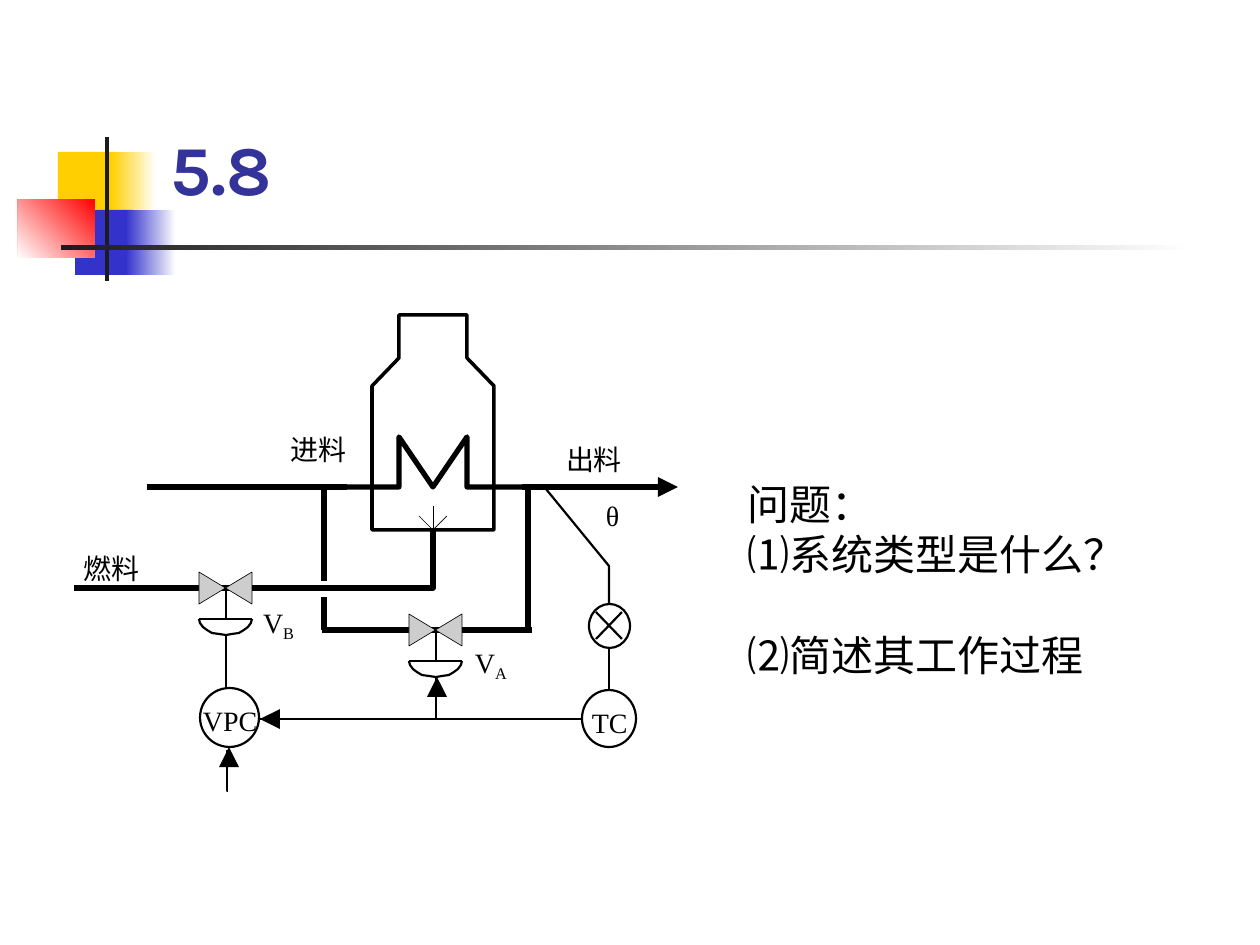
from math import cos, pi, sin
from lxml.etree import SubElement
from pptx import Presentation
from pptx.dml.color import RGBColor
from pptx.enum.shapes import MSO_CONNECTOR, MSO_SHAPE
from pptx.enum.text import MSO_ANCHOR, MSO_AUTO_SIZE, PP_ALIGN
from pptx.oxml.ns import qn
from pptx.util import Pt

PX = 914400 / 126
COLORS = {"black": "000000", "white": "FFFFFF", "gray": "CDCDCD", "title": "333399",
          "yellow": "FFCF01", "blue": "3333CC", "red": "FF0000", "dark": "1C1C1C"}
RGB = {name: RGBColor.from_string(value) for name, value in COLORS.items()}
CJK = "Noto Sans CJK SC"
SERIF = "Times New Roman"
THICK, OUTLINE, THIN, HAIR = 3, 2, 1.25, 0.37

prs = Presentation()
prs.slide_width = round(1260 * PX)
prs.slide_height = round(945 * PX)
s = prs.slides.add_slide(prs.slide_layouts[5])


def text(tf, lines, font=SERIF, size=16, color="black", bold=False, sub="", gap=0):
    for i, line in enumerate(lines):
        p = tf.paragraphs[0] if i == 0 else tf.add_paragraph()
        p.alignment = PP_ALIGN.LEFT
        p.space_before = Pt(gap if i and i == len(lines) - 1 else 0)
        for part, base in ((line, None), (sub, "-20000")):
            if part:
                r = p.add_run()
                r.text = part
                r.font.name, r.font.size, r.font.bold = font, Pt(size), bold
                r.font.color.rgb = RGB[color]
                rPr = r.font._element
                SubElement(rPr, qn("a:ea")).set("typeface", CJK)
                if base:
                    rPr.set("baseline", base)


def draw(points, width=THIN, fill=None, closed=False):
    if len(points) == 2:
        (x1, y1), (x2, y2) = points
        sp = s.shapes.add_connector(MSO_CONNECTOR.STRAIGHT, *(round(v * PX) for v in (x1, y1, x2, y2)))
    else:
        path = s.shapes.build_freeform(*points[0], scale=PX)
        path.add_line_segments(points[1:], close=closed)
        sp = path.convert_to_shape()
        sp.shadow.inherit = False
        if fill:
            sp.fill.solid()
            sp.fill.fore_color.rgb = RGB[fill]
        else:
            sp.fill.background()
    if width:
        sp.line.color.rgb = RGB["black"]
        sp.line.width = Pt(width)
    else:
        sp.line.fill.background()
    if len(points) == 2:
        SubElement(sp._element.spPr, qn("a:effectLst"))


for x, y, w, h, start, end, angle in (
        (58, 152, 60, 65, "yellow", None, 0),
        (111, 152, 45, 65, "white", "yellow", 180),
        (75, 210, 58, 65, "blue", None, 0),
        (126, 210, 50, 65, "white", "blue", 180),
        (18, 199, 77, 59, "red", "white", 225),
        (105, 137, 4, 144, "dark", None, 0),
        (61, 245, 1134, 5, "white", "dark", 180)):
    sp = s.shapes.add_shape(MSO_SHAPE.RECTANGLE, *(round(v * PX) for v in (x, y, w, h)))
    sp.shadow.inherit = False
    sp.line.fill.background()
    if end:
        sp.fill.gradient()
        sp.fill.gradient_angle = angle
        for stop, color, position in zip(sp.fill.gradient_stops, (start, end), (0, 1)):
            stop.color.rgb = RGB[color]
            stop.position = position
    else:
        sp.fill.solid()
        sp.fill.fore_color.rgb = RGB[start]

title = s.shapes.title
title.left, title.top, title.width, title.height = (round(v * PX) for v in (158, 85, 1074, 131))
title.text_frame.auto_size = MSO_AUTO_SIZE.NONE
title.text_frame.vertical_anchor = MSO_ANCHOR.BOTTOM
text(title.text_frame, ["5.8"], font="Karla", size=40, color="title", bold=True)

questions = s.shapes.add_textbox(*(round(v * PX) for v in (735, 472, 375, 264)))
questions.text_frame.word_wrap = True
text(questions.text_frame, ["问题：", "⑴系统类型是什么？", "⑵简述其工作过程"],
     font="Karla", size=24, gap=29)

furnace = [(372, 530), (372, 386), (399, 358), (399, 315),
           (467, 315), (467, 358), (494, 386), (494, 530)]
draw(furnace, OUTLINE, "white", True)

coil = [(345, 487), (399, 487), (399, 437), (433, 487), (467, 437), (467, 487), (522, 487)]
fuel_pipe = [(433, 530), (433, 588), (74, 588)]
for pipe in (coil, fuel_pipe,
             [(147, 487), (347, 487)], [(522, 487), (672, 487)],
             [(324, 487), (324, 581)], [(324, 597), (324, 630)],
             [(322, 630), (532, 630)], [(528, 489), (528, 629)]):
    draw(pipe, THICK)

for tip in ((447, 516), (419, 516), (433, 506)):
    draw([(433, 530), tip], HAIR)

for signal in ([(226, 635), (226, 719), (267, 719)],
               [(436, 678), (436, 719), (630, 719)],
               [(609, 646), (609, 719), (242, 719)],
               [(609, 604), (609, 566), (546, 489)],
               [(227, 750), (227, 791), (228, 791)]):
    draw(signal)

for x, y in ((199, 572), (409, 614)):
    draw([(x, y), (x, y + 32), (x + 53, y), (x + 53, y + 32)], HAIR, "gray", True)
    draw([(x + 27, y + 16), (x + 27, y + 47)])
    draw([(x + 53, y + 47), (x, y + 47)])
    dome = [(round(x + 26.5 + 26.5 * cos(pi * i / 12)), round(y + 47 + 16 * sin(pi * i / 12)))
            for i in range(13)]
    draw(dome)

for x, y, w, h in ((200, 688, 59, 59), (582, 690, 54, 57), (589, 604, 41, 44)):
    sp = s.shapes.add_shape(MSO_SHAPE.OVAL, *(round(v * PX) for v in (x, y, w, h)))
    sp.shadow.inherit = False
    sp.fill.solid()
    sp.fill.fore_color.rgb = RGB["white"]
    sp.line.color.rgb = RGB["black"]
    sp.line.width = Pt(THIN)
for y1, y2 in ((612, 639), (639, 612)):
    draw([(596, y1), (622, y2)])

for x, y, dx, dy in ((678, 487, 1, 0), (260, 719, -1, 0), (437, 677, 0, -1), (229, 747, 0, -1)):
    bx, by = x - 20 * dx, y - 20 * dy
    draw([(x, y), (bx + 10 * dy, by + 10 * dx), (bx - 10 * dy, by - 10 * dx)], 0, "black", True)

for label, sub, font, x, y, w, h in (
        ("VPC", "", SERIF, 203, 704, 55, 34),
        ("TC", "", SERIF, 592, 706, 36, 34),
        ("进料", "", CJK, 291, 433, 56, 34),
        ("出料", "", CJK, 566, 443, 56, 34),
        ("燃料", "", CJK, 84, 552, 56, 34),
        ("V", "A", SERIF, 475, 646, 33, 36),
        ("V", "B", SERIF, 263, 606, 33, 36),
        ("θ", "", SERIF, 606, 499, 14, 34)):
    tf = s.shapes.add_textbox(*(round(v * PX) for v in (x, y, w, h))).text_frame
    tf.margin_left = tf.margin_right = tf.margin_top = tf.margin_bottom = 0
    tf.word_wrap = False
    tf.auto_size = MSO_AUTO_SIZE.SHAPE_TO_FIT_TEXT
    text(tf, [label], font=font, sub=sub)

prs.save("out.pptx")
